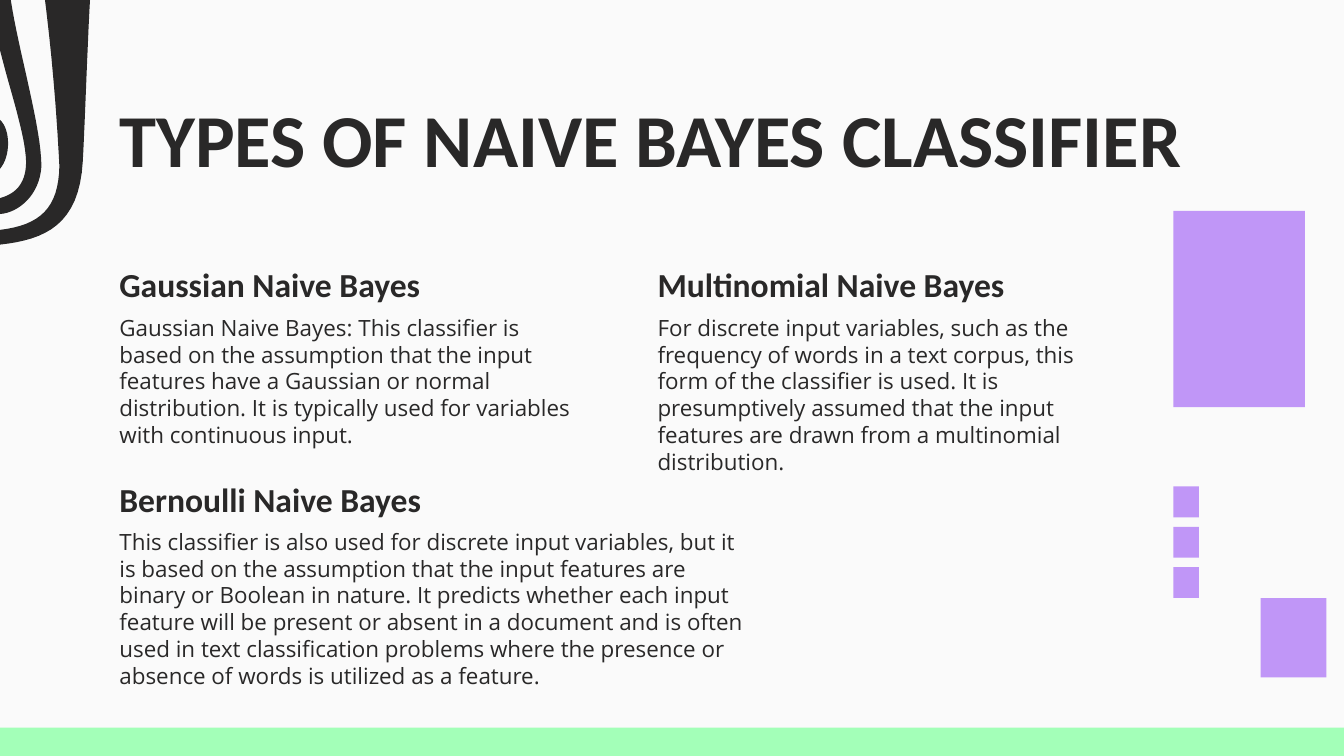
import pptx
import pptx.util
import pptx.dml.color
import pptx.enum.shapes
import pptx.enum.text
from collections import namedtuple
from dataclasses import dataclass

Box = namedtuple("Box", "left top width height")
Anchor = pptx.enum.text.MSO_ANCHOR


@dataclass(frozen=True)
class Theme:
    """Colours, fonts and type sizes."""
    paper: str = "FAFAFA"
    ink: str = "292828"
    green: str = "A3FFB8"
    violet: str = "C096F7"
    head: str = "Calibri"
    body: str = "Open Sans"
    title: float = 40
    sub: float = 18
    text: float = 12
    lead: float = 14.35


THEME = Theme()
WIDE, HIGH = 100, 56.25
CELL = pptx.util.Inches(0.1)

TYPES = [
    (Box(7.9, 17.87, 36.3, 17.5), "Gaussian Naive Bayes",
     "Gaussian Naive Bayes: This classifier is based on the assumption that "
     "the input features have a Gaussian or normal distribution. It is "
     "typically used for variables with continuous input."),
    (Box(47.94, 17.87, 34.6, 17.5), "Multinomial Naive Bayes",
     "For discrete input variables, such as the frequency of words in a text "
     "corpus, this form of the classifier is used. It is presumptively assumed "
     "that the input features are drawn from a multinomial distribution."),
    (Box(7.9, 33.8, 48.8, 19.7), "Bernoulli Naive Bayes",
     "This classifier is also used for discrete input variables, but it is "
     "based on the assumption that the input features are binary or Boolean in "
     "nature. It predicts whether each input feature will be present or absent "
     "in a document and is often used in text classification problems where "
     "the presence or absence of words is utilized as a feature."),
]

BANDS = [
    [(100, 0), (97, 20, 95, 45, 92, 66), (88, 92, 50, 98, 0, 100), (0, 94),
     (45, 92, 65, 85, 66, 68), (63, 45, 57, 20, 50, 0)],
    [(0, 0), (12, 0), (20, 20, 46, 52, 46, 68), (44, 80, 20, 87, 0, 87.5),
     (0, 81), (20, 79, 29, 74, 29, 66), (28, 55, 12, 38, 0, 20.5)],
    [(0, 49), (12, 53, 12, 64, 0, 69)],
]


def tint(name):
    """Return the colour for a hex name."""
    return pptx.dml.color.RGBColor.from_string(name)


def scale(box):
    """Turn grid cells into slide lengths."""
    return [round(part * CELL) for part in box]


def paint(shape, hue):
    """Give a shape a flat fill with no line or shadow."""
    shape.shadow.inherit = False
    shape.fill.solid()
    shape.fill.fore_color.rgb = tint(hue)
    shape.line.fill.background()


def block(slide, box, hue):
    """Place one flat rectangle."""
    kind = pptx.enum.shapes.MSO_SHAPE.RECTANGLE
    paint(slide.shapes.add_shape(kind, *scale(box)), hue)


def label(slide, box, text, face, size, bold=False, anchor=Anchor.TOP, lead=None):
    """Place one wrapped paragraph of text."""
    frame = slide.shapes.add_textbox(*scale(box)).text_frame
    frame.word_wrap = True
    frame.vertical_anchor = anchor
    frame.margin_left = frame.margin_right = CELL
    frame.margin_top = frame.margin_bottom = CELL
    para = frame.paragraphs[0]
    para.text = text
    if lead:
        para.line_spacing = pptx.util.Pt(lead)
    para.font.name = face
    para.font.size = pptx.util.Pt(size)
    para.font.bold = bold
    para.font.color.rgb = tint(THEME.ink)


def trace(steps, count=16):
    """Return the points along a path of lines and cubic curves."""
    points = [steps[0]]
    for step in steps[1:]:
        if len(step) == 2:
            points.append(step)
            continue
        knots = [points[-1], step[:2], step[2:4], step[4:]]
        for turn in range(1, count + 1):
            t = turn / count
            parts = ((1 - t) ** 3, 3 * t * (1 - t) ** 2, 3 * t * t * (1 - t), t ** 3)
            points.append(tuple(sum(w * k[axis] for w, k in zip(parts, knots))
                                for axis in (0, 1)))
    return points


def swirl(slide, box):
    """Draw the curved bands, given as percentages of the box."""
    for band in BANDS:
        points = [scale((box.left + x * box.width / 100, box.top + y * box.height / 100))
                  for x, y in trace(band)]
        pen = slide.shapes.build_freeform(*points[0])
        pen.add_line_segments(points[1:], close=True)
        paint(pen.convert_to_shape(), THEME.ink)


def entry(slide, box, name, text):
    """Place a heading over its description."""
    label(slide, box._replace(height=5.8), name, THEME.head, THEME.sub, True, Anchor.BOTTOM)
    drop = 4.5
    rest = box._replace(top=box.top + drop, height=box.height - drop)
    label(slide, rest, text, THEME.body, THEME.text, lead=THEME.lead)


def side(slide, box):
    """Place the violet blocks down the right side."""
    block(slide, Box(box.left, box.top, 9.8, 14.6), THEME.violet)
    for row in range(3):
        block(slide, Box(box.left, box.top + 20.5 + row * 3, 1.9, 2.3), THEME.violet)
    wide, high = 4.9, 5.9
    block(slide, Box(box.left + box.width - wide, box.top + box.height - high, wide, high),
          THEME.violet)


def build():
    """Build and save the slide."""
    deck = pptx.Presentation()
    deck.slide_width, deck.slide_height = scale((WIDE, HIGH))
    slide = deck.slides.add_slide(deck.slide_layouts[6])
    slide.background.fill.solid()
    slide.background.fill.fore_color.rgb = tint(THEME.paper)
    foot = 2.1
    block(slide, Box(0, HIGH - foot, WIDE, foot), THEME.green)
    swirl(slide, Box(0, 0, 6.7, 18.2))
    label(slide, Box(7.9, 5.9, 84.3, 6.3), "TYPES OF NAIVE BAYES CLASSIFIER",
          THEME.head, THEME.title, True)
    for box, name, text in TYPES:
        entry(slide, box, name, text)
    side(slide, Box(87.3, 15.7, 11.4, 34.7))
    deck.save("out.pptx")


if __name__ == "__main__":
    build()
